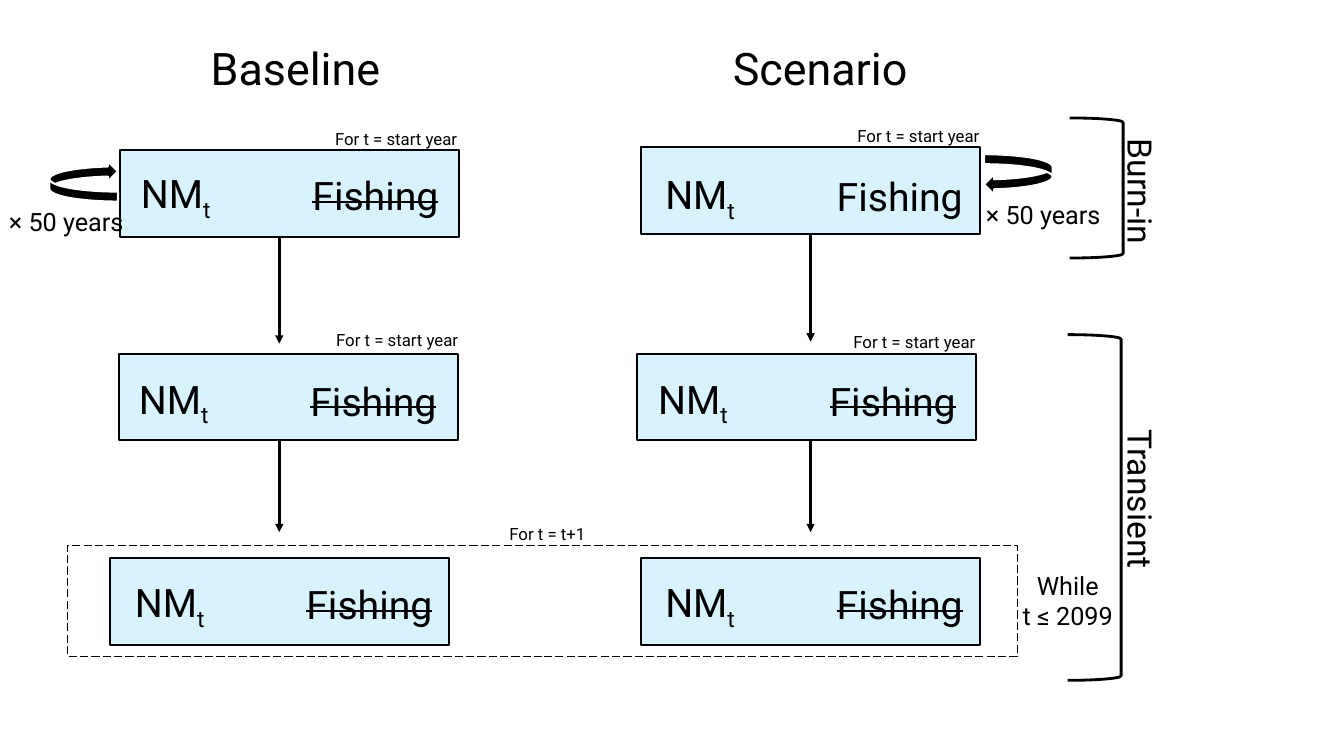
from dataclasses import dataclass

from lxml.etree import SubElement
from pptx import Presentation
from pptx.dml.color import RGBColor
from pptx.enum.dml import MSO_LINE
from pptx.enum.shapes import MSO_CONNECTOR, MSO_SHAPE as Preset
from pptx.enum.text import MSO_AUTO_SIZE as AutoSize, PP_ALIGN as Align
from pptx.oxml.ns import qn
from pptx.shapes.autoshape import Shape
from pptx.slide import Slide
from pptx.text.text import _Paragraph as Paragraph
from pptx.util import Emu, Pt

PX = 9144  # one hundredth of an inch
COLORS = {"ink": "000000", "box": "D8F3FD", "paper": "FFFFFF"}
FONT = "Roboto"
BOX_SIZE = (336, 86)
FISHING_OFFSET = (170, 2)  # from the NM label


@dataclass(frozen=True)
class Step:
    left: int
    top: int
    label_left: int
    label_top: int
    struck: bool = True


@dataclass(frozen=True)
class Label:
    text: str
    left: int
    top: int
    width: int
    height: int
    size: int
    align: Align = Align.CENTER
    rotation: int = 0


@dataclass(frozen=True)
class Outline:
    preset: Preset
    left: int
    top: int
    width: int
    height: int
    weight: float
    fill: str = ""
    line: str = "ink"
    rotation: int = 0
    dashed: bool = False


@dataclass(frozen=True)
class Arrow:
    x: int
    top: int
    bottom: int


STEPS = [
    # Baseline
    Step(119, 149, 130, 163),
    Step(118, 351, 128, 367),
    Step(109, 554, 124, 569),
    # Scenario
    Step(636, 146, 650, 164, struck=False),
    Step(632, 351, 643, 367),
    Step(636, 554, 650, 569),
]

ARROWS = [
    Arrow(277, 234, 341),
    Arrow(277, 436, 528),
    Arrow(804, 231, 339),
    Arrow(804, 436, 528),
]

FRAME = Outline(Preset.RECTANGLE, 67, 541, 942, 110, 0.75, dashed=True)

LOOPS_AND_BRACKETS = [
    Outline(Preset.CURVED_LEFT_ARROW, 49, 160, 68, 40, 1.5, "ink", "paper", 180),
    Outline(Preset.CURVED_LEFT_ARROW, 976, 153, 68, 40, 1.5, "ink", "paper"),
    Outline(Preset.RIGHT_BRACKET, 1061, 117, 53, 139, 2),
    Outline(Preset.RIGHT_BRACKET, 1059, 332, 53, 343, 2),
]

START = "For t = start year"
LABELS = [
    Label("Baseline", 199, 35, 229, 64, 32, Align.LEFT),
    Label("Scenario", 717, 35, 229, 64, 32, Align.LEFT),
    Label("× 50 years", -1, 200, 200, 40, 18, Align.LEFT),
    Label("× 50 years", 968, 193, 200, 40, 18, Align.LEFT),
    Label("Burn-in", 1030, 165, 203, 50, 24, rotation=90),
    Label("Transient", 1030, 470, 203, 50, 24, rotation=90),
    Label("While\nt ≤ 2099", 959, 561, 200, 71, 18),
    Label(START, 293, 123, 200, 30, 12),
    Label(START, 294, 322, 200, 30, 12),
    Label(START, 811, 120, 200, 30, 12),
    Label(START, 807, 324, 200, 30, 12),
    Label("For t = t+1", 443, 515, 200, 30, 12),
]


def emu(*lengths: int) -> list[Emu]:
    return [Emu(length * PX) for length in lengths]


def color(name: str) -> RGBColor:
    return RGBColor.from_string(COLORS[name])


def draw_outline(page: Slide, item: Outline) -> None:
    shape = page.shapes.add_shape(
        item.preset, *emu(item.left, item.top, item.width, item.height))
    shape.shadow.inherit = False
    shape.rotation = item.rotation
    if item.fill:
        shape.fill.solid()
        shape.fill.fore_color.rgb = color(item.fill)
    else:
        shape.fill.background()
    shape.line.color.rgb = color(item.line)
    shape.line.width = Pt(item.weight)
    if item.dashed:
        shape.line.dash_style = MSO_LINE.LONG_DASH


def style(para: Paragraph, size: int, align: Align) -> None:
    para.alignment = align
    para.font.name = FONT
    para.font.size = Pt(size)
    para.font.color.rgb = color("ink")


def draw_label(page: Slide, item: Label) -> Shape:
    box = page.shapes.add_textbox(
        *emu(item.left, item.top, item.width, item.height))
    box.rotation = item.rotation
    frame = box.text_frame
    frame.word_wrap = True
    frame.auto_size = AutoSize.SHAPE_TO_FIT_TEXT
    frame.text = item.text
    for para in frame.paragraphs:
        style(para, item.size, item.align)
    return box


def draw_step(page: Slide, step: Step) -> None:
    draw_outline(page, Outline(
        Preset.RECTANGLE, step.left, step.top, *BOX_SIZE, 1.5, "box"))

    # NM label with its subscript
    nm_label = draw_label(page, Label(
        "NM", step.label_left, step.label_top, 200, 57, 28, Align.LEFT))
    subscript = nm_label.text_frame.paragraphs[0].add_run()
    subscript.text = "t"
    subscript._r.get_or_add_rPr().set("baseline", "-25000")

    # Fishing label, plain or struck through
    dx, dy = FISHING_OFFSET
    fishing = draw_label(page, Label(
        "Fishing", step.label_left + dx, step.label_top + dy,
        200, 57, 28, Align.LEFT))
    if step.struck:
        span = fishing.text_frame.paragraphs[0].runs[0]
        span._r.get_or_add_rPr().set("strike", "sngStrike")


def draw_arrow(page: Slide, arrow: Arrow) -> None:
    link = page.shapes.add_connector(
        MSO_CONNECTOR.STRAIGHT,
        *emu(arrow.x, arrow.top, arrow.x, arrow.bottom))
    link.line.color.rgb = color("ink")
    link.line.width = Pt(2)
    SubElement(link.line._get_or_add_ln(), qn("a:tailEnd"), type="triangle")
    SubElement(link._element.spPr, qn("a:effectLst"))


def main() -> None:
    deck = Presentation()
    deck.slide_width, deck.slide_height = emu(1333, 750)
    page = deck.slides.add_slide(deck.slide_layouts[6])

    # Dashed frame, boxes and arrows
    draw_outline(page, FRAME)
    for step in STEPS:
        draw_step(page, step)
    for arrow in ARROWS:
        draw_arrow(page, arrow)

    # Curved arrows, brackets and labels
    for item in LOOPS_AND_BRACKETS:
        draw_outline(page, item)
    for label in LABELS:
        draw_label(page, label)

    deck.save("out.pptx")


if __name__ == "__main__":
    main()
